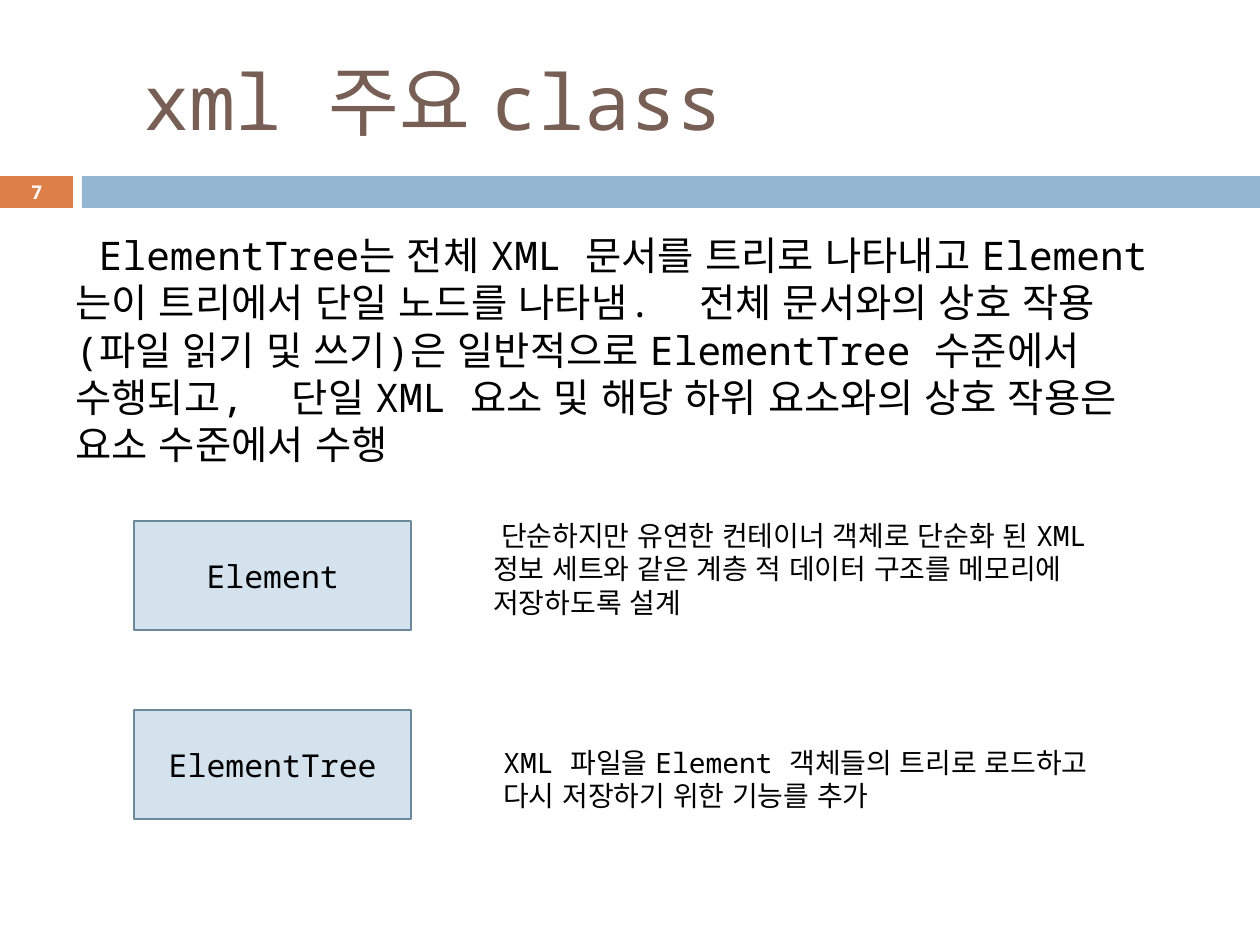
from pptx import Presentation
from pptx.dml.color import RGBColor
from pptx.enum.lang import MSO_LANGUAGE_ID
from pptx.enum.shapes import MSO_SHAPE
from pptx.enum.text import MSO_ANCHOR, MSO_AUTO_SIZE, PP_ALIGN
from pptx.util import Emu, Pt

SCALE = 914400 / 126
COLORS = {
    "orange": "DD8047",
    "blue": "94B6D2",
    "pale": "D4E2ED",
    "edge": "6D879B",
    "brown": "775F55",
    "black": "000000",
    "white": "FFFFFF",
}


def place(*lengths):
    return [Emu(round(length * SCALE)) for length in lengths]


def write(holder, text, size, color, anchor=MSO_ANCHOR.TOP, align=PP_ALIGN.LEFT,
          bold=False, fit=MSO_AUTO_SIZE.NONE, right=12):
    frame = holder.text_frame
    frame_format = {
        "word_wrap": True,
        "auto_size": fit,
        "vertical_anchor": anchor,
        "margin_right": place(right)[0],
    }
    for name, value in frame_format.items():
        setattr(frame, name, value)
    paragraph = frame.paragraphs[0]
    paragraph.alignment = align
    run = paragraph.add_run()
    run.text = text
    font_format = {
        "name": "Noto Sans Mono",
        "size": Pt(size),
        "bold": bold,
        "language_id": MSO_LANGUAGE_ID.KOREAN,
    }
    for name, value in font_format.items():
        setattr(run.font, name, value)
    run.font.color.rgb = RGBColor.from_string(COLORS[color])


prs = Presentation()
prs.slide_width, prs.slide_height = place(1260, 945)
slide = prs.slides.add_slide(prs.slide_layouts[6])
shapes = slide.shapes

for left, width, color in [(0, 73, "orange"), (82, 1178, "blue")]:
    band = shapes.add_shape(MSO_SHAPE.RECTANGLE, *place(left, 176, width, 32))
    band.shadow.inherit = False
    band.fill.solid()
    band.fill.fore_color.rgb = RGBColor.from_string(COLORS[color])
    band.line.fill.background()

title = shapes.add_textbox(*place(85, 32, 1124, 136))
write(title, " xml 주요 class", 44, "brown", MSO_ANCHOR.MIDDLE)

summary = shapes.add_textbox(*place(63, 225, 1134, 258))
write(
    summary,
    " ElementTree는 전체 XML 문서를 트리로 나타내고 Element는이 트리에서 단일 노드를 나타냄.  "
    "전체 문서와의 상호 작용 (파일 읽기 및 쓰기)은 일반적으로 ElementTree 수준에서 수행되고,  "
    "단일 XML 요소 및 해당 하위 요소와의 상호 작용은 요소 수준에서 수행",
    22.5,
    "black",
    right=36,
)

page_number = shapes.add_textbox(*place(0, 175, 73, 34))
write(page_number, "7", 10.8, "white", MSO_ANCHOR.MIDDLE, PP_ALIGN.CENTER, True)

classes = [
    ("Element", 521, (481, 512, 694, 115),
     " 단순하지만 유연한 컨테이너 객체로 단순화 된 XML 정보 세트와 같은 계층 적 데이터 구조를 메모리에 저장하도록 설계"),
    ("ElementTree", 710, (491, 739, 665, 81),
     "XML 파일을 Element 객체들의 트리로 로드하고 다시 저장하기 위한 기능를 추가"),
]
for class_name, top, description_area, description_text in classes:
    class_box = shapes.add_shape(MSO_SHAPE.RECTANGLE, *place(134, top, 277, 109))
    class_box.shadow.inherit = False
    class_box.fill.solid()
    class_box.fill.fore_color.rgb = RGBColor.from_string(COLORS["pale"])
    class_box.line.color.rgb = RGBColor.from_string(COLORS["edge"])
    class_box.line.width = Pt(1.5)
    write(class_box, class_name, 18, "black", MSO_ANCHOR.MIDDLE, PP_ALIGN.CENTER)

    description = shapes.add_textbox(*place(*description_area))
    write(description, description_text, 16, "black",
          fit=MSO_AUTO_SIZE.SHAPE_TO_FIT_TEXT, right=36)

prs.save("out.pptx")
